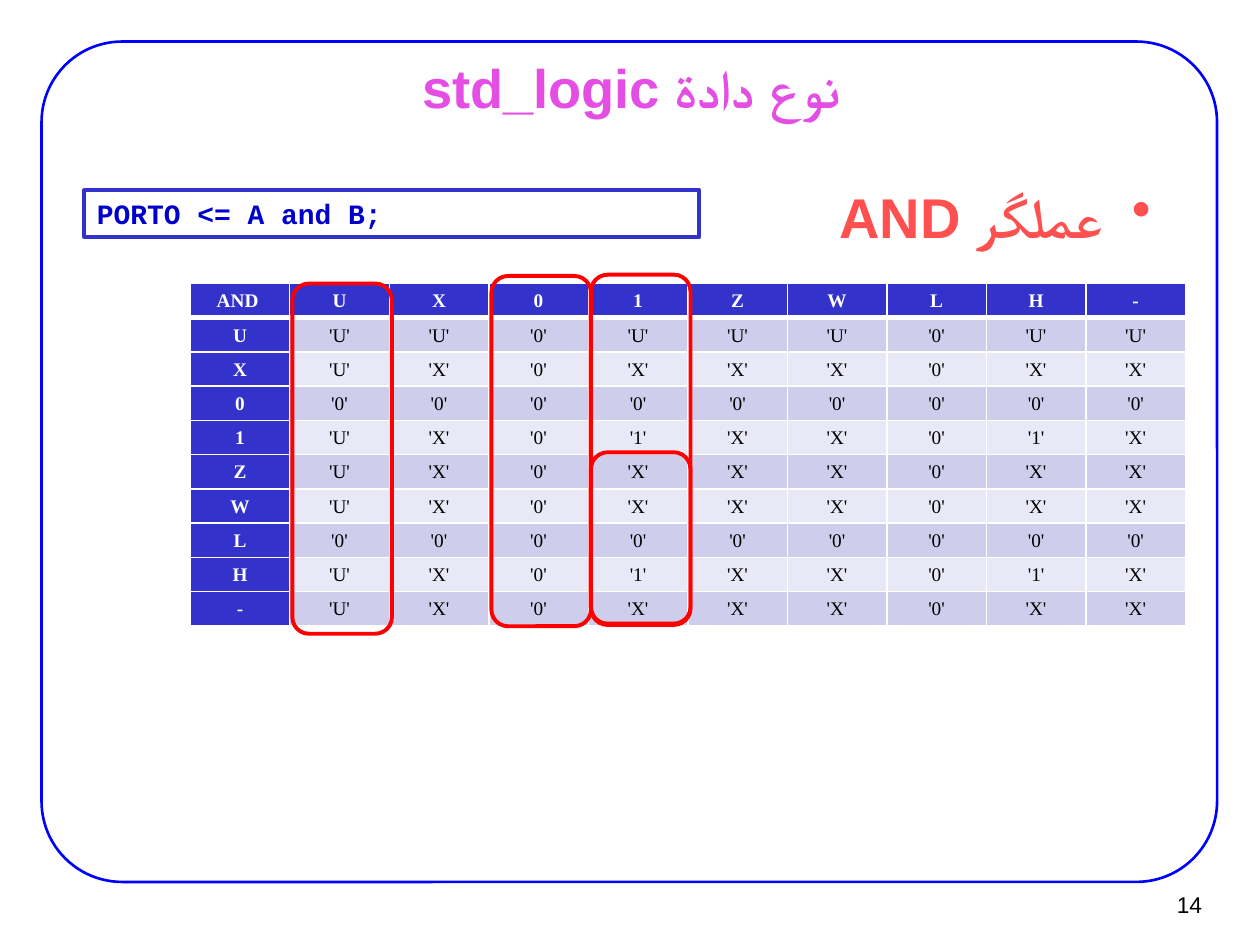
from lxml import etree
from pptx import Presentation
from pptx.dml.color import RGBColor
from pptx.enum import shapes, text
from pptx.oxml import ns
from pptx.util import Inches, Pt

color = RGBColor.from_string


def write(frame, words, *, size, hue, font="Arial", bold=True, align="LEFT",
          rtl=False, bullet=False, spacing=None, wrap=True,
          margins=(0.1, 0.05), anchor="MIDDLE"):
    """Fill a text frame with one paragraph; margins are (sides, top and bottom)."""
    frame.word_wrap = wrap
    frame.vertical_anchor = text.MSO_ANCHOR[anchor]
    frame.margin_left = frame.margin_right = Inches(margins[0])
    frame.margin_top = frame.margin_bottom = Inches(margins[1])
    para = frame.paragraphs[0]
    para.alignment = text.PP_ALIGN[align]
    para.line_spacing = spacing
    props = para._p.get_or_add_pPr()
    if rtl:
        props.set("rtl", "1")
    if bullet:
        props.set("marL", str(Inches(0.38)))
        props.set("indent", str(-Inches(0.38)))
        etree.SubElement(props, ns.qn("a:buChar"), char="•")
    span = para.add_run()
    span.text = words
    span.font.name, span.font.size, span.font.bold = font, Pt(size), bold
    span.font.color.rgb = color(hue)
    if rtl:
        etree.SubElement(span._r.get_or_add_rPr(), ns.qn("a:cs"), typeface=font)


def outline(kind, place, hue, width, corner=None):
    shape = page.shapes.add_shape(shapes.MSO_SHAPE[kind], *map(Inches, place))
    shape.shadow.inherit = False
    shape.fill.background()
    shape.line.color.rgb = color(hue)
    shape.line.width = Pt(width)
    if corner:
        shape.adjustments[0] = corner
    return shape


deck = Presentation()
deck.slide_width, deck.slide_height = Inches(10), Inches(7.5)
page = deck.slides.add_slide(deck.slide_layouts[6])

outline("ROUNDED_RECTANGLE", (0.33, 0.33, 9.33, 6.67), "0000FF", 1.5, 0.096)

# Title, bullet and page number
labels = [
    ((0.76, 0.44, 8.5, 0.49), "نوع دادة std_logic",
     dict(size=31, hue="E44EE4", align="CENTER", rtl=True, margins=(0.11, 0.06))),
    ((0.75, 1.39, 8.5, 3.23), "عملگر AND",
     dict(size=32, hue="FF5050", align="RIGHT", rtl=True, bullet=True,
          margins=(0.11, 0.06), anchor="TOP")),
    ((9.02, 6.99, 0.61, 0.37), "14",
     dict(size=13, hue="000000", bold=False, align="RIGHT", wrap=False,
          margins=(0.09, 0.04))),
]
for place, words, style in labels:
    box = page.shapes.add_textbox(*map(Inches, place))
    write(box.text_frame, words, **style)

# Truth table: one letter per cell
states = "UX01ZWLH-"
unknown, zero, one = "UX0XXX0XX", "000000000", "UX01XX01X"
results = ["UU0UUU0UU", unknown, zero, one, unknown, unknown, zero, one, unknown]
rows = [["AND ", *states]]
for state, result in zip(states, results):
    rows.append([state] + [f"'{value}'" for value in result])

table_left, table_top, cell_width, cell_height = 1.51, 2.25, 0.79, 0.27
count = len(rows)
table = page.shapes.add_table(
    count, count, Inches(table_left), Inches(table_top),
    Inches(cell_width * count), Inches(cell_height * count)).table
for column in table.columns:
    column.width = Inches(cell_width)
for r, row in enumerate(rows):
    table.rows[r].height = Inches(0.272)
    for c, words in enumerate(row):
        cell = table.cell(r, c)
        heading = r == 0 or c == 0
        write(cell.text_frame, words, size=11, font="Times New Roman",
              hue="FFFFFF" if heading else "000000", bold=heading,
              align="CENTER", spacing=1.07)
        cell.vertical_anchor = text.MSO_ANCHOR.MIDDLE
        cell.margin_left = cell.margin_right = Inches(0.08)
        cell.margin_top = cell.margin_bottom = 0
        props = cell._tc.get_or_add_tcPr()
        for side in "LRTB":
            thick = (r, side) in ((0, "B"), (1, "T"))
            border = etree.SubElement(props, ns.qn(f"a:ln{side}"),
                                      w=str(Pt(3 if thick else 1)))
            paint = etree.SubElement(border, ns.qn("a:solidFill"))
            etree.SubElement(paint, ns.qn("a:srgbClr"), val="FFFFFF")
        cell.fill.solid()
        cell.fill.fore_color.rgb = color(
            "3333CC" if heading else "CECEEC" if r % 2 else "E8E8F6")

# Rings around table columns: left, top, height
for left, top, height in [(3.9, 2.19, 2.78), (4.69, 2.18, 2.78),
                          (4.69, 3.59, 1.36), (2.32, 2.25, 2.78)]:
    outline("ROUNDED_RECTANGLE", (left, top, cell_width, height),
            "FF0000", 2.25, 0.167)

code = outline("RECTANGLE", (0.67, 1.51, 4.88, 0.37), "3333CC", 2.25)
write(code.text_frame, "PORTO <= A and B;", size=16, hue="0000CC",
      font="Courier New")

deck.save("out.pptx")
